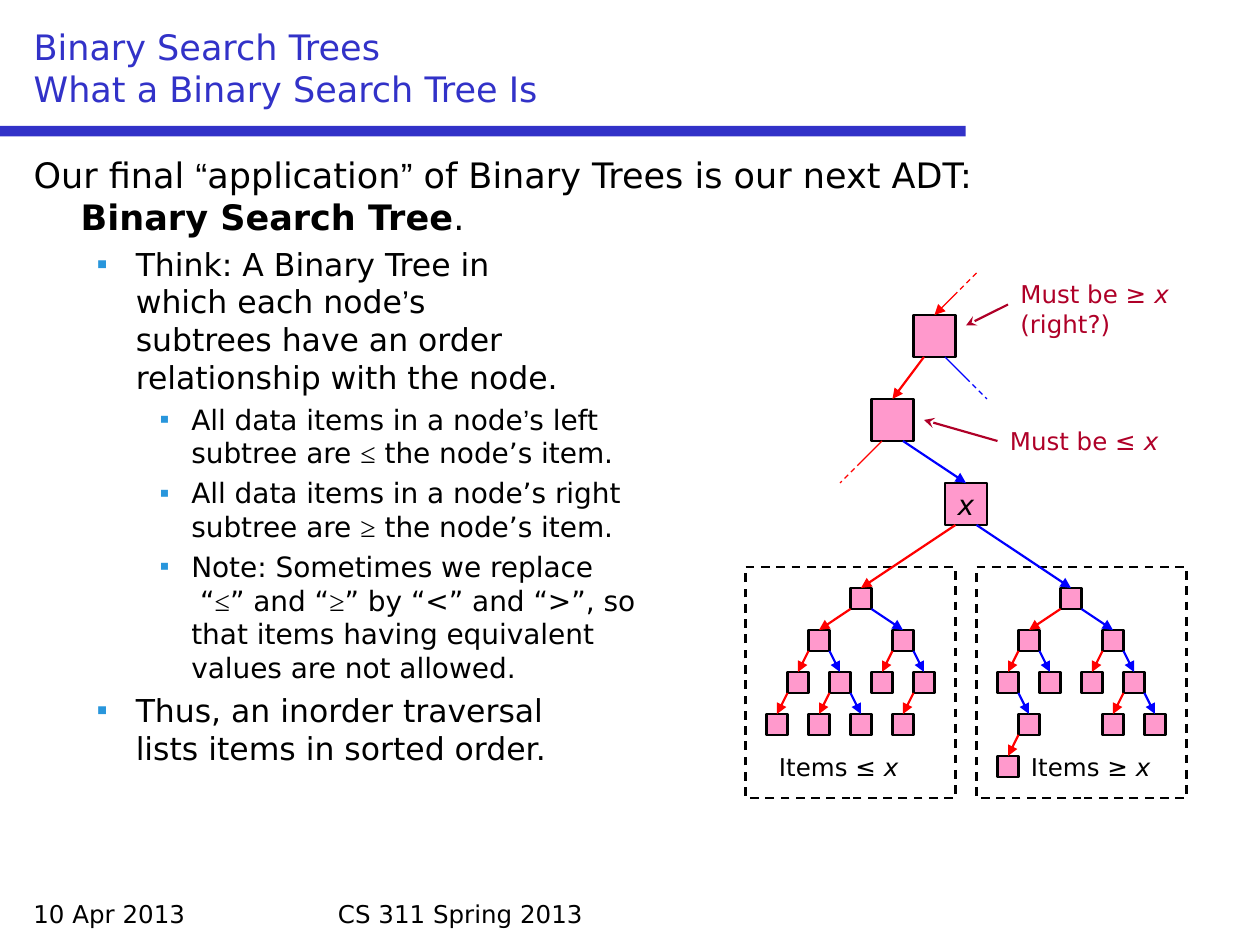
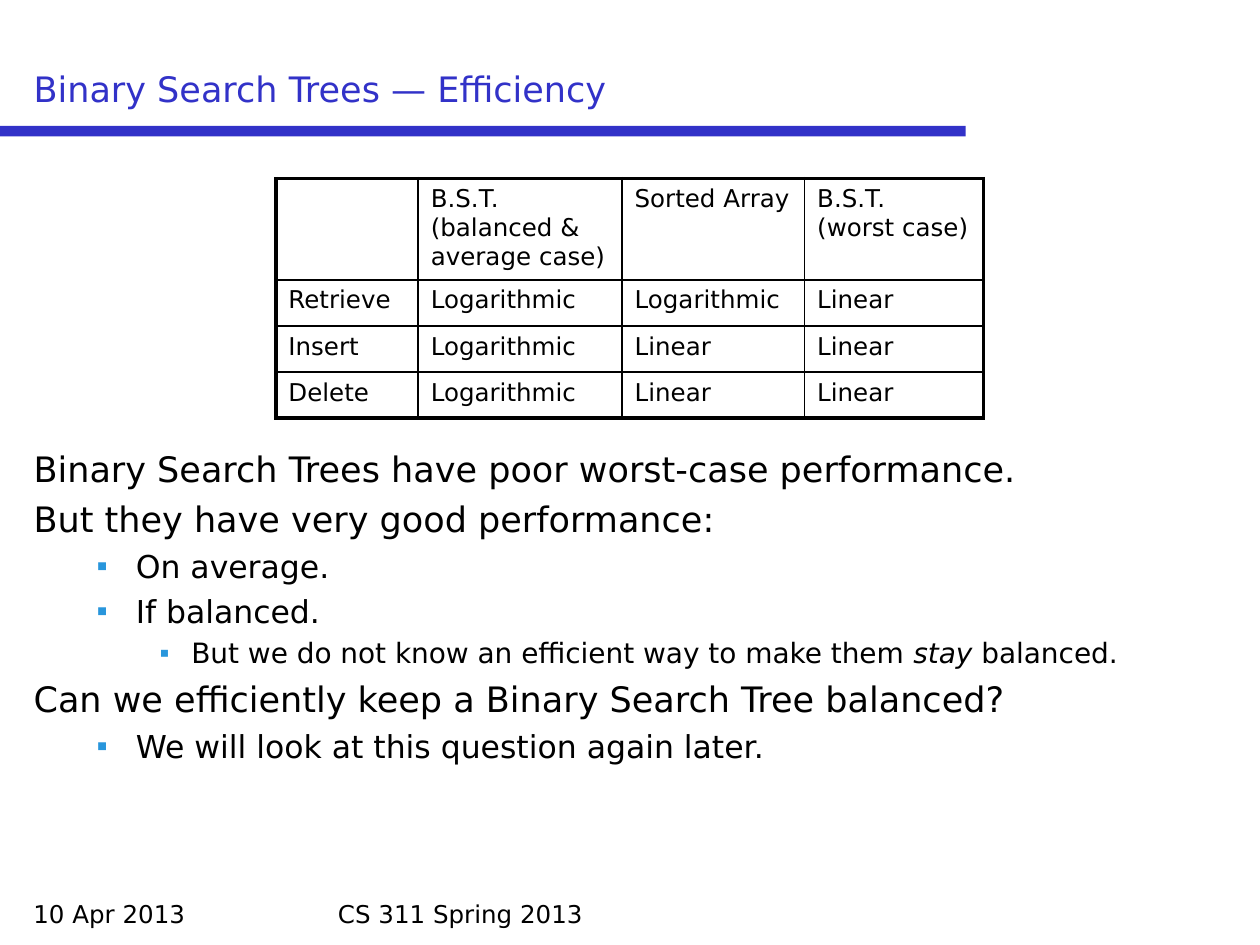
from copy import deepcopy
from lxml import etree
from pptx import Presentation
from pptx.dml.color import RGBColor
from pptx.enum.dml import MSO_LINE_DASH_STYLE
from pptx.enum.shapes import MSO_CONNECTOR, MSO_SHAPE
from pptx.enum.text import MSO_ANCHOR, MSO_AUTO_SIZE, PP_ALIGN
from pptx.oxml.ns import qn
from pptx.util import Cm, Pt

RECTANGLE = MSO_SHAPE.RECTANGLE
STRAIGHT = MSO_CONNECTOR.STRAIGHT
DASH = MSO_LINE_DASH_STYLE.DASH
TOP, MIDDLE, BOTTOM = MSO_ANCHOR.TOP, MSO_ANCHOR.MIDDLE, MSO_ANCHOR.BOTTOM
LEFT, CENTER = PP_ALIGN.LEFT, PP_ALIGN.CENTER
NO_AUTOFIT = MSO_AUTO_SIZE.NONE

BLACK = RGBColor(0x00, 0x00, 0x00)
INDIGO = RGBColor(0x32, 0x32, 0xC8)
SKY = RGBColor(0x28, 0x96, 0xDC)
PINK = RGBColor(0xFF, 0x99, 0xCC)
RED = RGBColor(0xFF, 0x00, 0x00)
BLUE = RGBColor(0x00, 0x00, 0xFF)
CRIMSON = RGBColor(0xAF, 0x00, 0x28)

SANS, ARIAL, TIMES = "DejaVu Sans", "Arial", "Times New Roman"
UNIT = Cm(2.54) // 12
LEVELS = [
    (20, Cm(0.95), Cm(-0.95)),
    (18, Cm(2.06), Cm(-0.79)),
    (16, Cm(3.18), Cm(-0.64)),
]


def write(para, text, size=14, color=BLACK, font=SANS, bold=False, italic=False):
    span = None
    for index, line in enumerate(text.split("\n")):
        if index:
            para.add_line_break()
            para._p[-1].append(deepcopy(span.font._rPr))
        if line:
            span = para.add_run()
            span.text = line
            span.font.name = font
            span.font.size = Pt(size)
            span.font.bold = bold
            span.font.italic = italic
            span.font.color.rgb = color


def draw_line(page, start, end, color, width=1.25, dash=False, head="triangle"):
    line = page.shapes.add_connector(STRAIGHT, *[n * UNIT for n in (*start, *end)])
    line.line.color.rgb = color
    line.line.width = Pt(width)
    if dash:
        line.line.dash_style = DASH
    if head:
        etree.SubElement(line.line._get_or_add_ln(), qn("a:tailEnd"), type=head)
    etree.SubElement(line._element.spPr, qn("a:effectLst"))


PAGES = [
    ("Binary Search Trees\nWhat a Binary Search Tree Is", 14, [
        (0, [("Our final ", {}), ("“", {"font": ARIAL}), ("application", {}),
             ("”", {"font": ARIAL}), (" of Binary Trees is our next ADT:\n", {}),
             ("Binary Search Tree", {"bold": True}), (".", {})]),
        (1, [("Think: A Binary Tree in\nwhich each node", {}), ("’", {"font": ARIAL}),
             ("s\nsubtrees have an order\nrelationship with the node.", {})]),
        (2, [("All data items in a node", {}), ("’", {"font": ARIAL}),
             ("s left\nsubtree are ", {}), ("≤", {"font": TIMES}),
             (" the node’s item.", {})]),
        (2, [("All data items in a node’s right\nsubtree are ", {}),
             ("≥", {"font": TIMES}), (" the node’s item.", {})]),
        (2, [("Note: Sometimes we replace\n “", {}), ("≤", {"font": TIMES}),
             ("” and “", {}), ("≥", {"font": TIMES}),
             ("” by “<” and “>”, so\nthat items having equivalent\n"
              "values are not allowed.", {})]),
        (1, [("Thus, an inorder traversal\nlists items in sorted order.", {})]),
    ]),
    ("Binary Search Trees — Efficiency", 42, [
        (0, [("Binary Search Trees have poor worst-case performance.", {})]),
        (0, [("But they have very good performance:", {})]),
        (1, [("On average.", {})]),
        (1, [("If balanced.", {})]),
        (2, [("But we do not know an efficient way to make them ", {}),
             ("stay", {"italic": True}), (" balanced.", {})]),
        (0, [("Can we efficiently keep a Binary Search Tree balanced?", {})]),
        (1, [("We will look at this question again later.", {})]),
    ]),
]

deck = Presentation()
deck.slide_width, deck.slide_height = Cm(25.4), Cm(19.05)

for heading, body_top, items in PAGES:
    page = deck.slides.add_slide(deck.slide_layouts[1])

    band = page.shapes.add_shape(RECTANGLE, 0, Cm(2.54), Cm(19.47), Cm(0.21))
    band.shadow.inherit = False
    band.fill.solid()
    band.fill.fore_color.rgb = INDIGO
    band.line.fill.background()

    for left, width, text in [(2, 28, "10 Apr 2013"), (31, 58, "CS 311 Spring 2013")]:
        box = page.shapes.add_textbox(left * UNIT, 85 * UNIT, width * UNIT, 4 * UNIT)
        box.text_frame.word_wrap = True
        write(box.text_frame.paragraphs[0], text)

    title, body = page.placeholders
    for holder, top, height, anchor in [(title, 2, 9, BOTTOM),
                                        (body, body_top, 84 - body_top, TOP)]:
        holder.left, holder.top = 2 * UNIT, top * UNIT
        holder.width, holder.height = 116 * UNIT, height * UNIT
        holder.text_frame.auto_size = NO_AUTOFIT
        holder.text_frame.vertical_anchor = anchor
    para = title.text_frame.paragraphs[0]
    para.alignment = LEFT
    write(para, heading, size=20, color=INDIGO)

    for index, (level, spans) in enumerate(items):
        frame = body.text_frame
        para = frame.add_paragraph() if index else frame.paragraphs[0]
        size, margin, indent = LEVELS[level]
        para.level = level
        para.space_before = Pt(size * 0.23)
        properties = para._p.get_or_add_pPr()
        properties.set("marL", str(margin))
        properties.set("indent", str(indent))
        if level:
            bullet_color = etree.SubElement(properties, qn("a:buClr"))
            etree.SubElement(bullet_color, qn("a:srgbClr"), val=str(SKY))
            etree.SubElement(properties, qn("a:buFont"), typeface=ARIAL)
            etree.SubElement(properties, qn("a:buChar"), char="▪")
        else:
            etree.SubElement(properties, qn("a:buNone"))
        for text, style in spans:
            write(para, text, size=size, **style)

tree_page, table_page = deck.slides

SUBTREE_ROOTS = [(81, 56), (101, 56)]
SUBTREE_EDGES = [
    (81, 56, 77), (81, 56, 85), (77, 60, 75), (77, 60, 79), (85, 60, 83), (85, 60, 87),
    (75, 64, 73), (79, 64, 77), (79, 64, 81), (87, 64, 85),
    (101, 56, 97), (101, 56, 105), (97, 60, 95), (97, 60, 99), (105, 60, 103),
    (105, 60, 107), (95, 64, 97), (107, 64, 105), (107, 64, 109), (97, 68, 95),
]
nodes = [(87, 30, 4), (83, 38, 4), (90, 46, 4)]
nodes += [(left, top, 2) for left, top in SUBTREE_ROOTS]
nodes += [(child, top + 4, 2) for parent, top, child in SUBTREE_EDGES]

for left, top, side in nodes:
    node = tree_page.shapes.add_shape(
        RECTANGLE, left * UNIT, top * UNIT, side * UNIT, side * UNIT)
    node.shadow.inherit = False
    node.fill.solid()
    node.fill.fore_color.rgb = PINK
    node.line.color.rgb = BLACK
    node.line.width = Pt(1.25)
    if (left, top) == (90, 46):
        node.text_frame.word_wrap = False
        node.text_frame.vertical_anchor = MIDDLE
        para = node.text_frame.paragraphs[0]
        para.alignment = CENTER
        write(para, "x", size=16, italic=True)

for left in (71, 93):
    frame_box = tree_page.shapes.add_shape(
        RECTANGLE, left * UNIT, 54 * UNIT, 20 * UNIT, 22 * UNIT)
    frame_box.shadow.inherit = False
    frame_box.fill.background()
    frame_box.line.color.rgb = BLACK
    frame_box.line.width = Pt(1.25)
    frame_box.line.dash_style = DASH

for parent, top, child in SUBTREE_EDGES:
    start = parent if child < parent else parent + 2
    color = RED if child < parent else BLUE
    draw_line(tree_page, (start, top + 2), (child + 1, top + 4), color)

for start, end, color in [
    ((88, 34), (85, 38), RED), ((86, 42), (92, 46), BLUE),
    ((91, 50), (82, 56), RED), ((93, 50), (102, 56), BLUE),
]:
    draw_line(tree_page, start, end, color)

for start, end, color, dash, head in [
    ((93, 26), (91, 28), RED, True, None), ((91, 28), (89, 30), RED, False, "triangle"),
    ((90, 34), (92, 36), BLUE, False, None), ((92, 36), (94, 38), BLUE, True, None),
    ((84, 42), (82, 44), RED, False, None), ((82, 44), (80, 46), RED, True, None),
]:
    draw_line(tree_page, start, end, color, width=0.75, dash=dash, head=head)

for start, end in [((96, 29), (92, 31)), ((95, 42), (88, 40))]:
    draw_line(tree_page, start, end, CRIMSON, head="stealth")

for left, top, width, height, lead, tail, color in [
    (73, 71, 15, 4, "Items ≤ ", "", BLACK),
    (97, 71, 15, 4, "Items ≥ ", "", BLACK),
    (95, 40, 17, 4, "Must be ≤ ", "", CRIMSON),
    (96, 26, 17, 7, "Must be ≥ ", "(right?)", CRIMSON),
]:
    box = tree_page.shapes.add_textbox(
        left * UNIT, top * UNIT, width * UNIT, height * UNIT)
    box.text_frame.word_wrap = True
    para = box.text_frame.paragraphs[0]
    write(para, lead, color=color)
    write(para, "x\n" if tail else "x", color=color, italic=True)
    write(para, tail, color=color)

ROWS = [
    ["", "B.S.T.\n(balanced & average case)", "Sorted Array", "B.S.T.\n(worst case)"],
    ["Retrieve", "Logarithmic", "Logarithmic", "Linear"],
    ["Insert", "Logarithmic", "Linear", "Linear"],
    ["Delete", "Logarithmic", "Linear", "Linear"],
]
table = table_page.shapes.add_table(
    4, 4, Cm(5.56), Cm(3.6), Cm(14.28), Cm(4.83)).table
table.first_row = table.horz_banding = False
for column, width in zip(table.columns, (2.87, 4.11, 3.68, 3.61)):
    column.width = Cm(width)
for row, height in zip(table.rows, (2.04, 0.93, 0.93, 0.93)):
    row.height = Cm(height)

for r, texts in enumerate(ROWS):
    for c, text in enumerate(texts):
        cell = table.cell(r, c)
        cell.fill.background()
        write(cell.text_frame.paragraphs[0], text)
        properties = cell._tc.get_or_add_tcPr()
        sides = [("L", c == 0), ("R", c == 3), ("T", r == 0), ("B", r == 3)]
        for index, (side, outer) in enumerate(sides):
            border = etree.Element(qn("a:ln" + side), w=str(Pt(2.25 if outer else 1)))
            fill = etree.SubElement(border, qn("a:solidFill"))
            etree.SubElement(fill, qn("a:srgbClr"), val=str(BLACK))
            properties.insert(index, border)

deck.save("out.pptx")
